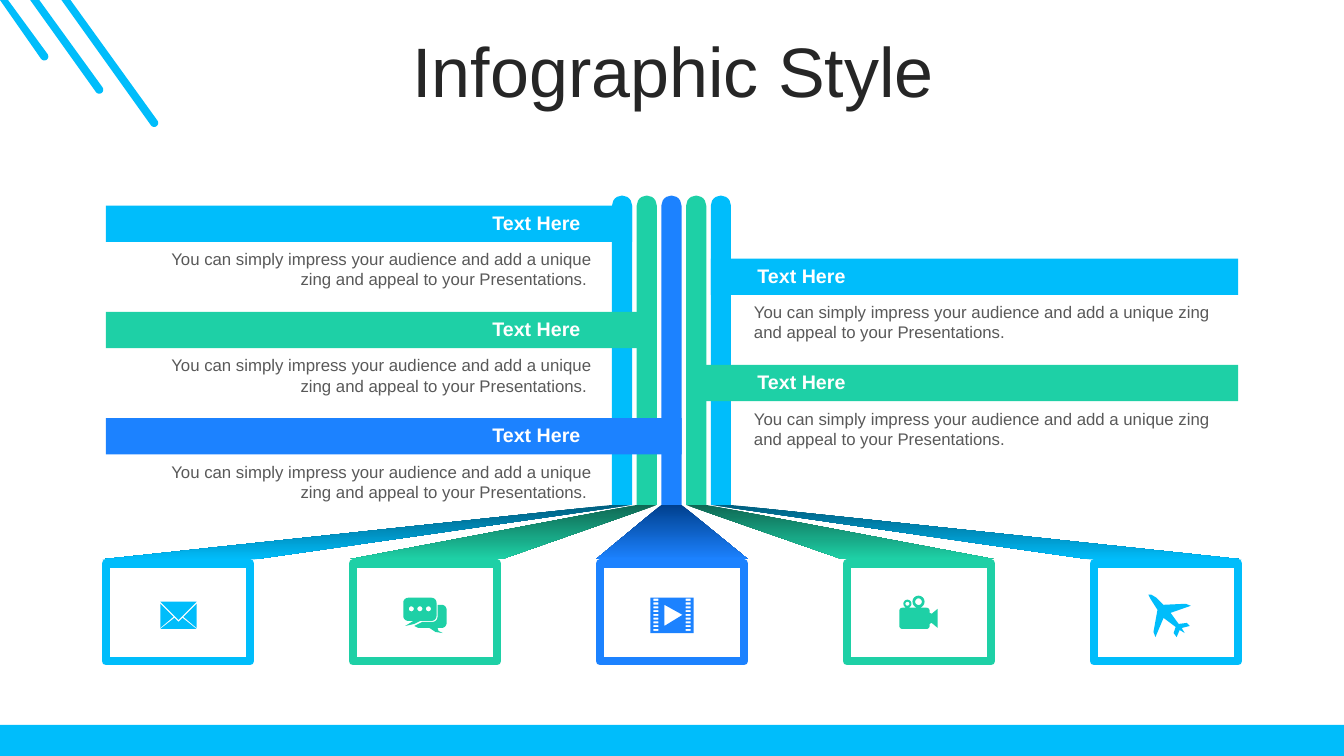
from math import cos, radians, sin

from pptx import Presentation
from pptx.dml.color import RGBColor
from pptx.enum.shapes import MSO_SHAPE
from pptx.enum.text import MSO_ANCHOR, MSO_AUTO_SIZE, PP_ALIGN
from pptx.util import Inches, Pt

WIDE, HIGH = 13.33, 7.5
SKY, MINT, BLUE = "00BDFB", "1ED0A6", "1C82FF"
HUES = [SKY, MINT, BLUE, MINT, SKY]
DARK = {SKY: "005E7E", MINT: "0F6853", BLUE: "00408E"}

# Stems stand side by side; cards share the width in equal columns.
STEM_X, STEM_GAP, STEM_W = 6.07, 0.245, 0.2
STEM_TOP, STEM_END = 1.94, 5.01
CARD_X, CARD_GAP, CARD_W = 1.05, 2.45, 1.43
CARD_Y, CARD_H, EDGE = 5.59, 0.97, 0.04
ROW_Y, ROW_GAP, BAR_H = 2.04, 0.527, 0.36
RIGHT = CARD_X + 4 * CARD_GAP + CARD_W

BODY = ("You can simply impress your audience and add a unique zing "
        "and appeal to your Presentations.")


def color(code):
    return RGBColor.from_string(code)


def paint(shape, fill):
    shape.shadow.inherit = False
    shape.fill.solid()
    shape.fill.fore_color.rgb = color(fill)
    shape.line.fill.background()
    return shape


def block(shapes, box, fill, kind=MSO_SHAPE.RECTANGLE):
    return paint(shapes.add_shape(kind, *map(Inches, box)), fill)


def outline(shapes, loops, fill):
    """Draw closed loops as one shape; a loop inside another is a hole."""
    loops = [[(Inches(x), Inches(y)) for x, y in loop] for loop in loops]
    pen = shapes.build_freeform(*loops[0][0])
    for n, loop in enumerate(loops):
        if n:
            pen.move_to(*loop[0])
        pen.add_line_segments(loop[1:], close=True)
    return paint(pen.convert_to_shape(), fill)


def arc(x, y, r, start, end, steps=8):
    turn = (end - start) / steps
    angles = [radians(start + turn * n) for n in range(steps + 1)]
    return [(x + r * cos(a), y + r * sin(a)) for a in angles]


def disc(x, y, r):
    return arc(x, y, r, 0, 360, 24)[:-1]


def rect(x, y, w, h):
    return [(x, y), (x + w, y), (x + w, y + h), (x, y + h)]


def pill(x, y, w, h, r):
    """Return a rectangle loop with rounded corners."""
    mids = rect(x + r, y + r, w - 2 * r, h - 2 * r)
    return [p for n, (a, b) in enumerate(mids)
            for p in arc(a, b, r, 180 + 90 * n, 270 + 90 * n)]


def write(frame, text, size, hue, align, bold=False):
    para = frame.paragraphs[0]
    para.alignment = align
    run = para.add_run()
    run.text = text
    font = run.font
    font.name, font.size, font.bold = "Arial", Pt(size), bold
    font.color.rgb = color(hue)
    return para


def label(shapes, box, *style):
    frame = shapes.add_textbox(*map(Inches, box)).text_frame
    frame.word_wrap = True
    frame.auto_size = MSO_AUTO_SIZE.SHAPE_TO_FIT_TEXT
    write(frame, *style)


def heading(title, box):
    title.left, title.top, title.width, title.height = map(Inches, box)
    frame = title.text_frame
    frame.auto_size = MSO_AUTO_SIZE.NONE
    frame.vertical_anchor = MSO_ANCHOR.MIDDLE
    para = write(frame, "Infographic Style", 50, "262626", PP_ALIGN.CENTER)
    para.line_spacing = 0.8


def decor(shapes):
    """Draw the corner stripes and the bottom band."""
    block(shapes, (0, HIGH - 0.31, WIDE, 0.31), SKY)
    loops = []
    for n in range(3):
        x = 0.08 + 0.31 * n
        tip = arc(0.44 + 0.545 * n, 0.56 + 0.33 * n, 0.04, 144.6, -35.4)
        loops.append([(x, 0), (max(x - 0.09, 0), 0), *tip])
    outline(shapes, loops, SKY)


def stem(shapes, box, hue):
    shape = block(shapes, box, hue, MSO_SHAPE.ROUND_2_SAME_RECTANGLE)
    shape.adjustments[0], shape.adjustments[1] = 0.5, 0


def funnel(shapes, x, card, hue):
    """Join the foot of a stem to the top edge of its card."""
    y = CARD_Y - EDGE
    loop = [(x, STEM_END), (card - EDGE, y),
            (card + CARD_W + EDGE, y), (x + STEM_W, STEM_END)]
    fill = outline(shapes, [loop], hue).fill
    fill.gradient()
    fill.gradient_angle = 270
    for stop, code, spot in zip(fill.gradient_stops, (DARK[hue], hue), (0, 1)):
        stop.color.rgb = color(code)
        stop.position = spot


def banner(shapes, box, hue, left):
    x, y, w, h = box
    block(shapes, box, hue)
    spot = 4.62 if left else 7.25
    label(shapes, (spot, y, 1.4, 0.34), "Text Here", 14, "FFFFFF",
          PP_ALIGN.CENTER, True)
    area = (1.26, y + 0.38, 4.71, 0.5) if left else (7.38, y + 0.38, 4.9, 0.5)
    text, align = (BODY + " ", PP_ALIGN.RIGHT) if left else (BODY, PP_ALIGN.LEFT)
    label(shapes, area, text, 12, "595959", align)


def icons():
    """Return each icon's offset in its card and loops, in 1/100 inch."""
    mail = [[(22, 16), (36, 27), (0, 27), (14, 16), (18, 20)],
            [(36, 2), (36, 26), (23, 15)], [(0, 2), (13, 15), (0, 26)],
            [(0, 0), (36, 0), (18, 18)]]
    chat = [pill(0, 0, 33, 23, 5), [(10, 23), (17, 23), (11, 26), (2, 28)],
            *[disc(x, 11, 2.5) for x in (8, 16.5, 25)],
            [(34, 7), *arc(38, 12, 5, 270, 360), *arc(38, 25, 5, 0, 90),
             (34, 30), (35, 33), (39, 35), (32, 34), (26, 30), (15, 30),
             (11, 28), (19, 24), *arc(29, 19, 5, 90, 0)]]
    film = [rect(0, 0, 43, 35), [(14, 7), (14, 28), (32, 17)],
            *[rect(x, 1 + 3.75 * n, 5, 2) for x in (3, 35) for n in range(9)]]
    camera = [pill(0, 12, 30, 21, 3), disc(8, 8, 4), disc(8, 8, 2),
              disc(19, 6, 6), disc(19, 6, 3.3),
              [(30, 17), (32, 18), (38, 13), (38, 32), (32, 27), (30, 28)]]
    plane = [[(41, 32), (33, 34), (36, 39), (31, 36), (28, 43), (25, 39),
              (27, 33), (15, 24), (7, 43), (5, 38), (9, 16), (2, 5), (0, 1),
              (3, 1), (8, 4), (15, 11), (37, 10), (42, 12), (22, 19),
              (30, 30), (38, 29)]]
    return [(0.54, 0.38, mail), (0.5, 0.34, chat), (0.5, 0.34, film),
            (0.52, 0.32, camera), (0.54, 0.3, plane)]


def card(shapes, box, hue, icon):
    shape = block(shapes, box, "FFFFFF")
    shape.line.color.rgb = color(hue)
    shape.line.width = Pt(6)
    dx, dy, loops = icon
    x, y = box[0] + dx, box[1] + dy
    outline(shapes, [[(x + a / 100, y + b / 100) for a, b in loop]
                     for loop in loops], hue)


def main():
    deck = Presentation()
    deck.slide_width, deck.slide_height = Inches(WIDE), Inches(HIGH)
    slide = deck.slides.add_slide(deck.slide_layouts[5])
    shapes = slide.shapes
    decor(shapes)
    heading(shapes.title, (0.35, 0.37, 12.66, 0.79))

    stems = [STEM_X + STEM_GAP * n for n in range(5)]
    cards = [CARD_X + CARD_GAP * n for n in range(5)]
    for x, spot, hue in zip(stems, cards, HUES):
        stem(shapes, (x, STEM_TOP, STEM_W, STEM_END - STEM_TOP), hue)
        funnel(shapes, x, spot, hue)
    for row, n in enumerate((0, 4, 1, 3, 2)):
        left = row % 2 == 0
        x = CARD_X if left else stems[n]
        end = stems[n] + STEM_W if left else RIGHT
        banner(shapes, (x, ROW_Y + ROW_GAP * row, end - x, BAR_H), HUES[n], left)
    for spot, hue, icon in zip(cards, HUES, icons()):
        card(shapes, (spot, CARD_Y, CARD_W, CARD_H), hue, icon)
    deck.save("out.pptx")


if __name__ == "__main__":
    main()
